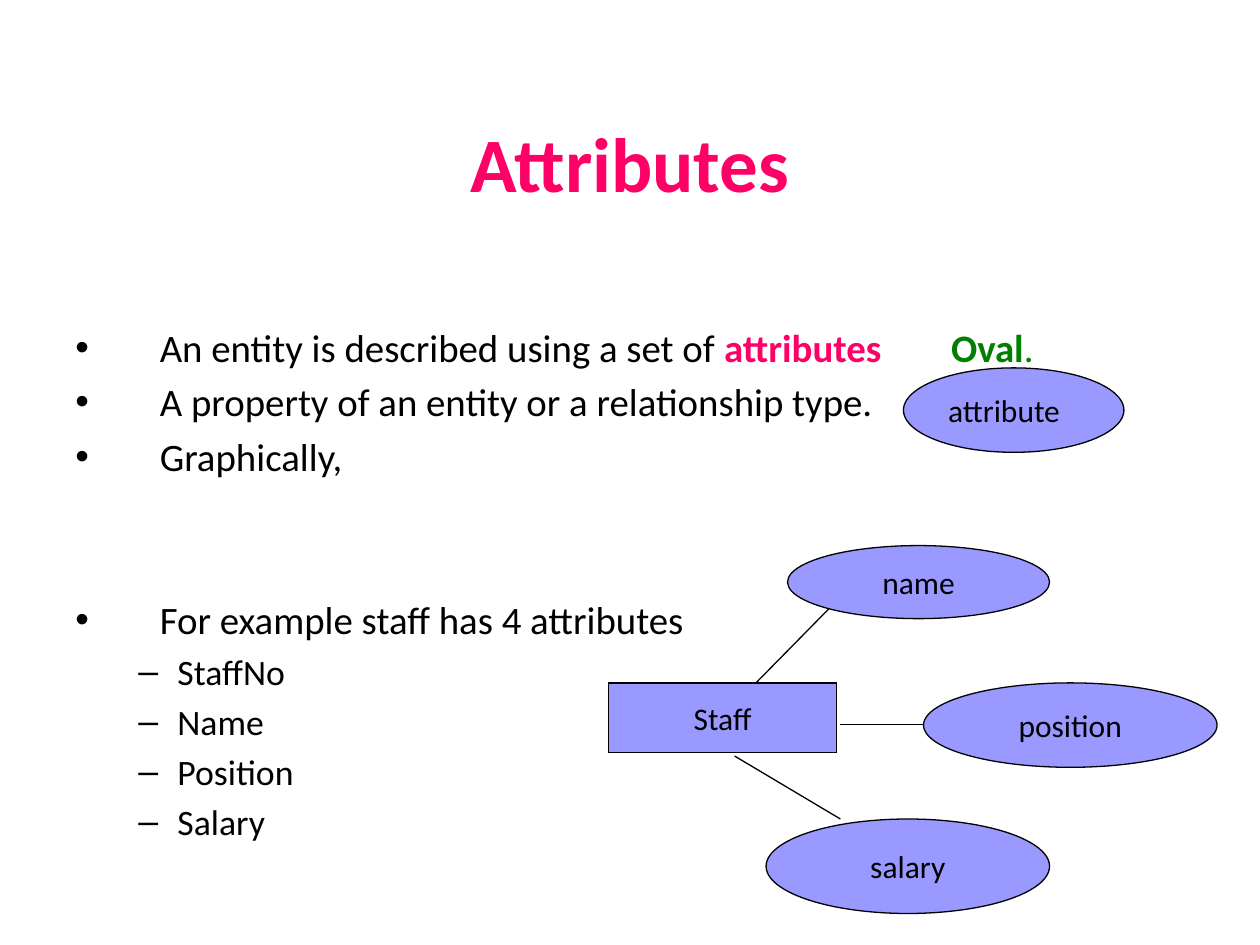
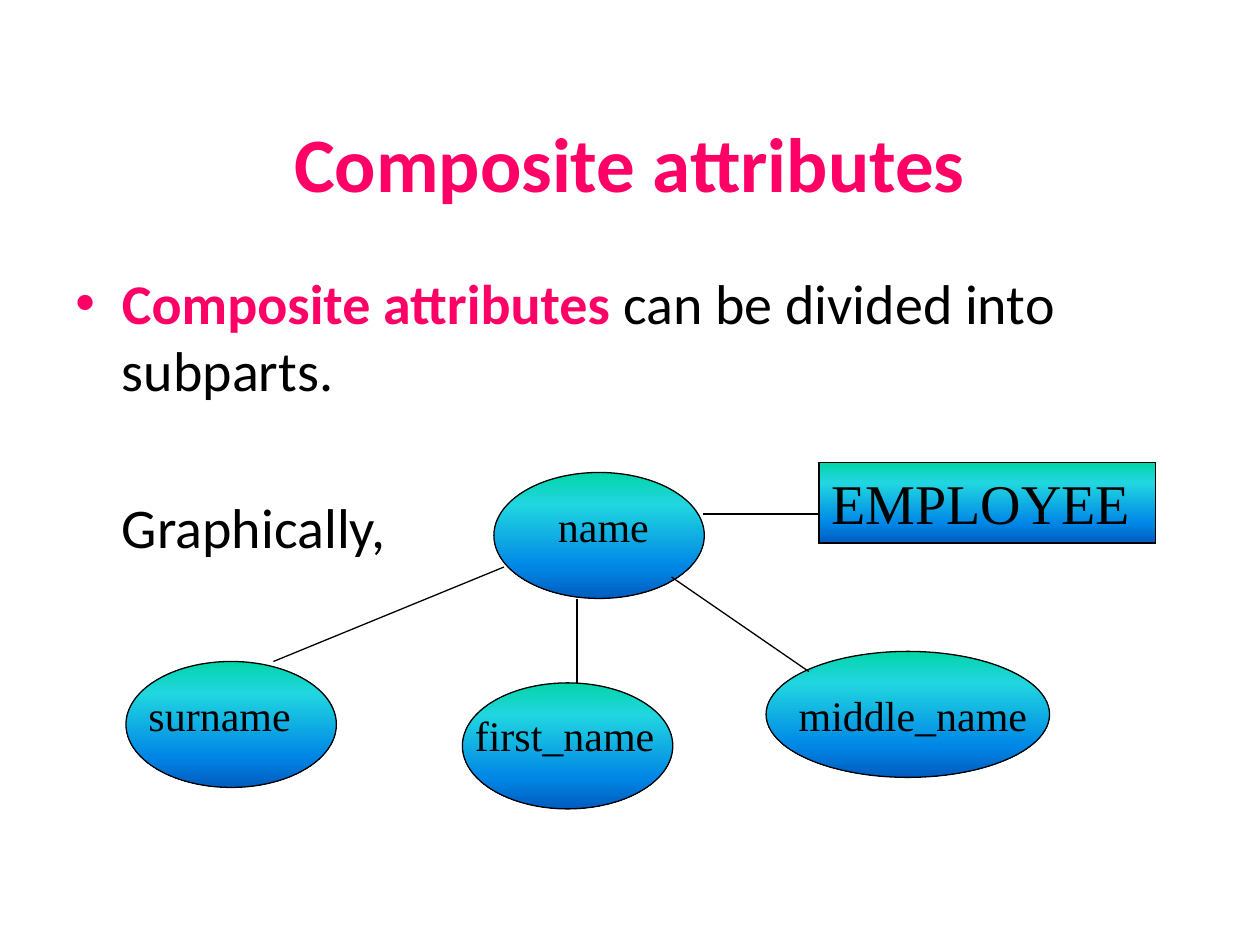
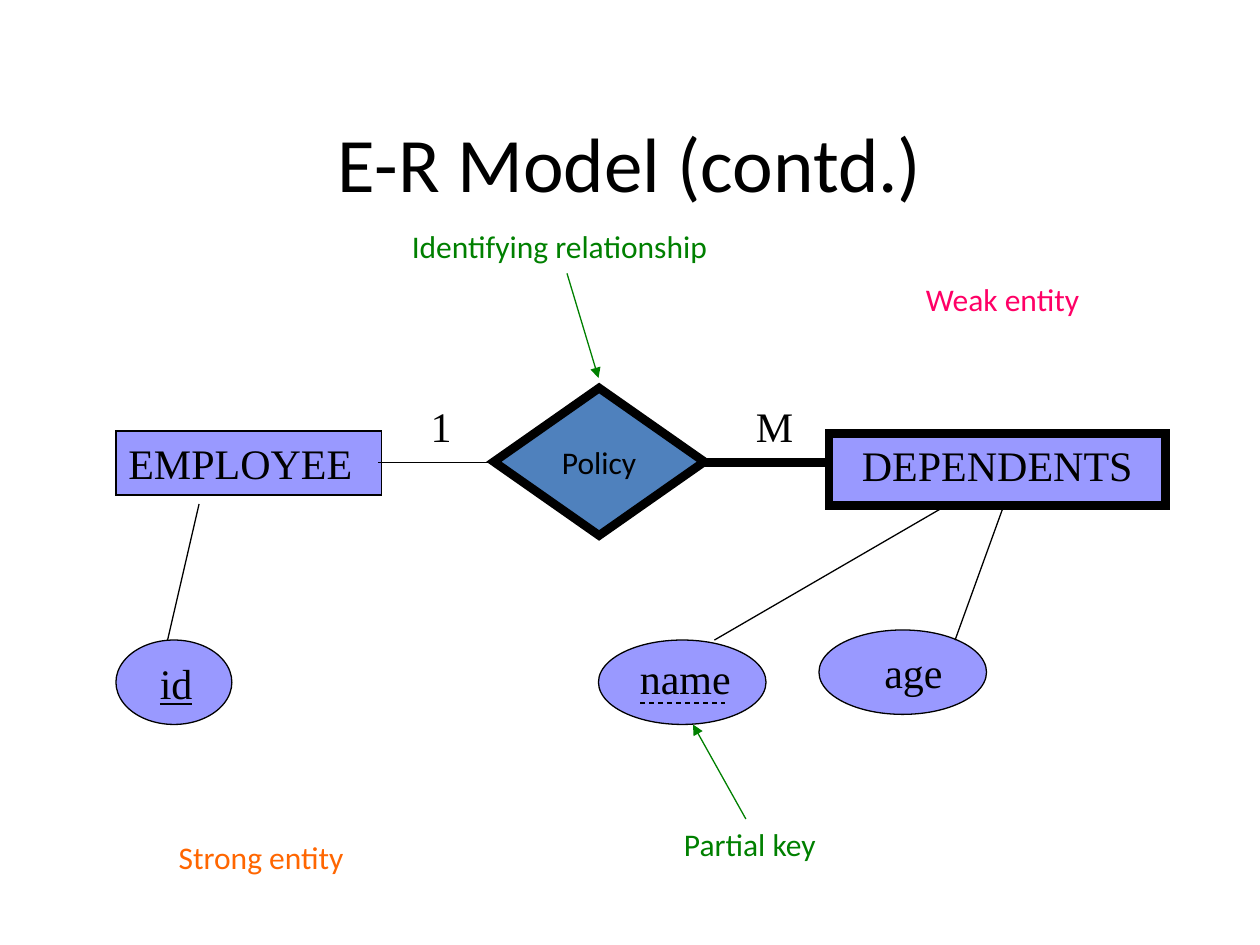
from dataclasses import dataclass
from typing import NamedTuple, Optional

from lxml import etree
from pptx import Presentation
from pptx.dml.color import RGBColor
from pptx.enum import dml, shapes, text
from pptx.oxml.ns import qn
from pptx.util import Inches, Pt

# Shared colours and fonts
BLACK = RGBColor(0x00, 0x00, 0x00)
PINK = RGBColor(0xFF, 0x00, 0x66)
GREEN = RGBColor(0x00, 0x80, 0x00)
ORANGE = RGBColor(0xFF, 0x66, 0x00)
LILAC = RGBColor(0x99, 0x99, 0xFF)
BLUE = RGBColor(0x4F, 0x81, 0xBD)
OCEAN = ((0, RGBColor(0x03, 0xD4, 0xA8)), (25, RGBColor(0x21, 0xD6, 0xE0)),
         (75, RGBColor(0x00, 0x87, 0xE6)), (100, RGBColor(0x00, 0x5C, 0xBF)))
SANS, SERIF = "Calibri", "Times New Roman"
THIN, THICK = 0.75, 5

OVAL = shapes.MSO_SHAPE.OVAL
RECT = shapes.MSO_SHAPE.RECTANGLE
DIAMOND = shapes.MSO_SHAPE.DIAMOND
LEFT, CENTER = text.PP_ALIGN.LEFT, text.PP_ALIGN.CENTER
TOP, MIDDLE = text.MSO_ANCHOR.TOP, text.MSO_ANCHOR.MIDDLE


class Run(NamedTuple):
    text: str
    size: float
    color: RGBColor = BLACK
    font: str = SANS
    bold: bool = False
    underline: bool = False


class Para(NamedTuple):
    runs: list[Run]
    bullet: str = ""
    left: float = 0
    hang: float = 0
    before: float = 0
    tab: Optional[float] = None


def add_run(p, run: Run) -> None:
    r = p.add_run()
    r.text = run.text
    f = r.font
    f.name, f.size, f.bold = run.font, Pt(run.size), run.bold
    f.underline = run.underline
    f.color.rgb = run.color


def add_text_box(s, x: float, y: float, w: float, h: float):
    return s.shapes.add_textbox(Inches(x), Inches(y), Inches(w), Inches(h))


def add_title(s, title: str, color: RGBColor = PINK, bold: bool = True) -> None:
    tf = add_text_box(s, 0.5, 0.66, 9, 1.25).text_frame
    tf.word_wrap, tf.vertical_anchor = True, MIDDLE
    p = tf.paragraphs[0]
    p.alignment = CENTER
    add_run(p, Run(title, 44, color, bold=bold))


def add_body(s, paras: list[Para], inset: float = 0.05) -> None:
    tf = add_text_box(s, 0.5, 2.08, 9, 4.62).text_frame
    tf.word_wrap, tf.margin_top = True, Inches(inset)
    for i, para in enumerate(paras):
        p = tf.add_paragraph() if i else tf.paragraphs[0]
        p_pr = p._p.get_or_add_pPr()
        p_pr.set("marL", str(Inches(para.left)))
        p_pr.set("indent", str(-Inches(para.hang)))
        p.space_before = Pt(para.before)
        if para.bullet:
            etree.SubElement(p_pr, qn("a:buFont")).set("typeface", "Arial")
            etree.SubElement(p_pr, qn("a:buChar")).set("char", para.bullet)
        if para.tab:
            tabs = etree.SubElement(p_pr, qn("a:tabLst"))
            etree.SubElement(tabs, qn("a:tab"), pos=str(Inches(para.tab)), algn="l")
        for run in para.runs:
            add_run(p, run)


def fill_gradient(sp, stops) -> None:
    sp.fill.gradient()
    sp.fill.gradient_angle = 270
    gs_list = sp._element.spPr.find(qn("a:gradFill")).find(qn("a:gsLst"))
    for gs in list(gs_list):
        gs_list.remove(gs)
    for percent, color in stops:
        gs = etree.SubElement(gs_list, qn("a:gs"), pos=str(percent * 1000))
        etree.SubElement(gs, qn("a:srgbClr"), val=str(color))


@dataclass
class Node:
    """An entity, attribute or relationship symbol."""
    kind: shapes.MSO_SHAPE
    x: float
    y: float
    w: float
    h: float
    run: Optional[Run] = None
    fill: object = LILAC
    line: float = THIN
    align: text.PP_ALIGN = CENTER
    anchor: text.MSO_ANCHOR = MIDDLE
    wrap: bool = False

    def draw(self, s) -> None:
        sp = s.shapes.add_shape(self.kind, Inches(self.x), Inches(self.y),
                                Inches(self.w), Inches(self.h))
        sp.shadow.inherit = False
        if isinstance(self.fill, RGBColor):
            sp.fill.solid()
            sp.fill.fore_color.rgb = self.fill
        else:
            fill_gradient(sp, self.fill)
        sp.line.color.rgb, sp.line.width = BLACK, Pt(self.line)
        etree.SubElement(sp.line._get_or_add_ln(), qn("a:miter"), lim="800000")
        if self.run:
            tf = sp.text_frame
            tf.word_wrap, tf.vertical_anchor = self.wrap, self.anchor
            tf.paragraphs[0].alignment = self.align
            add_run(tf.paragraphs[0], self.run)


@dataclass
class Label:
    """Free text beside or over a symbol."""
    x: float
    y: float
    w: float
    h: float
    run: Run

    def draw(self, s) -> None:
        tf = add_text_box(s, self.x, self.y, self.w, self.h).text_frame
        tf.word_wrap = False
        tf.auto_size = text.MSO_AUTO_SIZE.SHAPE_TO_FIT_TEXT
        add_run(tf.paragraphs[0], self.run)


@dataclass
class Link:
    """A straight line, optionally dashed or with an arrowhead."""
    x1: float
    y1: float
    x2: float
    y2: float
    color: RGBColor = BLACK
    width: float = THIN
    dashed: bool = False
    arrow: bool = False

    def draw(self, s) -> None:
        c = s.shapes.add_connector(shapes.MSO_CONNECTOR.STRAIGHT, Inches(self.x1),
                                   Inches(self.y1), Inches(self.x2), Inches(self.y2))
        c.line.color.rgb, c.line.width = self.color, Pt(self.width)
        if self.dashed:
            c.line.dash_style = dml.MSO_LINE.DASH
        if self.arrow:
            etree.SubElement(c.line._get_or_add_ln(), qn("a:tailEnd"), type="triangle")
        etree.SubElement(c._element.spPr, qn("a:effectLst"))


def serif(words: str, size: float = 24, underline: bool = False) -> Run:
    return Run(words, size, font=SERIF, underline=underline)


def draw_all(s, items: list) -> None:
    for item in items:
        item.draw(s)


def attributes_slide(s) -> None:
    add_title(s, "Attributes")
    size = 22.2

    def point(*runs: Run, before: float = 4.4, tab: Optional[float] = None) -> Para:
        return Para(list(runs), "•", 0.67, 0.67, before, tab)

    add_body(s, [
        point(Run("An entity is described using a set of ", size),
              Run("attributes\t", size, PINK, bold=True),
              Run("Oval", size, GREEN, bold=True), Run(".", size, GREEN),
              before=0, tab=6.95),
        point(Run("A property of an entity or a relationship type.", size)),
        point(Run("Graphically,", size)),
        point(Run("For example staff has 4 attributes", size), before=66.7),
        *[Para([Run(name, 20.4)], "–", 0.81, 0.31, 4.1)
          for name in ("StaffNo", "Name", "Position", "Salary")],
    ], inset=0.49)
    draw_all(s, [
        Node(OVAL, 7.17, 2.92, 1.75, 0.67, Run("attribute", 18), align=LEFT),
        Node(RECT, 4.83, 5.42, 1.81, 0.55, Run("Staff", 18)),
        Node(OVAL, 6.25, 4.33, 2.08, 0.58, Run("name", 18)),
        Link(6.58, 4.83, 6, 5.42),
        Node(OVAL, 7.33, 5.42, 2.33, 0.67, Run("position", 18)),
        Link(6.67, 5.75, 7.33, 5.75),
        Node(OVAL, 6.08, 6.5, 2.25, 0.75, Run("salary", 18)),
        Link(5.83, 6, 6.67, 6.5),
    ])


def composite_slide(s) -> None:
    add_title(s, "Composite attributes")
    add_body(s, [
        Para([Run("Composite attributes", 32, PINK, bold=True),
              Run(" can be divided into subparts.", 32)], "•", 0.37, 0.37),
        Para([Run("Graphically,", 32)], left=0.37, before=51.2),
    ])
    draw_all(s, [
        Node(OVAL, 1, 5.25, 1.67, 1, fill=OCEAN),
        Label(1.08, 5.42, 1.35, 0.5, serif("surname")),
        Link(2.17, 5.25, 4, 4.5),
        Node(OVAL, 3.67, 5.42, 1.67, 1, fill=OCEAN),
        Label(3.67, 5.58, 1.65, 0.5, serif("first_name")),
        Node(OVAL, 6.08, 5.17, 2.25, 1, fill=OCEAN),
        Label(6.24, 5.42, 2.04, 0.5, serif("middle_name")),
        Node(OVAL, 3.92, 3.75, 1.67, 1, fill=OCEAN),
        Label(4.33, 3.92, 0.94, 0.5, serif("name")),
        Link(4.58, 5.42, 4.58, 4.75),
        Link(6.42, 5.33, 5.33, 4.58),
        Node(RECT, 6.5, 3.67, 2.67, 0.64, serif("EMPLOYEE", 32), OCEAN,
             align=LEFT, anchor=TOP, wrap=True),
        Link(5.58, 4.08, 6.5, 4.08),
    ])


def er_model_slide(s) -> None:
    add_title(s, "E-R Model (contd.)", BLACK, bold=False)
    draw_all(s, [
        # Strong entity and its key
        Node(RECT, 0.92, 3.42, 2.11, 0.51, serif("EMPLOYEE"),
             align=LEFT, anchor=TOP, wrap=True),
        Node(OVAL, 0.92, 5.08, 0.92, 0.67),
        Label(1.17, 5.17, 0.46, 0.5, serif("id", underline=True)),
        Link(1.33, 5.08, 1.58, 4),
        # Attributes of the weak entity
        Node(OVAL, 4.75, 5.08, 1.33, 0.67),
        Label(4.98, 5.13, 0.92, 0.5, serif("name")),
        Link(5.08, 5.58, 5.75, 5.58, dashed=True),
        Node(OVAL, 6.5, 5, 1.33, 0.67),
        Label(6.92, 5.08, 0.66, 0.5, serif("age")),
        Link(5.67, 5.08, 7.67, 3.92),
        Link(7.58, 5.08, 8, 3.92),
        # Identifying relationship
        Link(3, 3.67, 4.25, 3.67),
        Link(5.5, 3.67, 6.58, 3.67, width=THICK),
        Label(3.32, 3.13, 0.37, 0.5, serif("1")),
        Label(5.9, 3.13, 0.5, 0.5, serif("M")),
        Node(DIAMOND, 3.92, 3.08, 1.67, 1.17, Run("Policy", 18), BLUE, THICK),
        Node(RECT, 6.58, 3.44, 2.67, 0.57, serif("DEPENDENTS"), line=THICK,
             anchor=TOP, wrap=True),
        # Annotations
        Label(1.32, 6.6, 1.91, 0.43, Run("Strong entity", 18, ORANGE)),
        Label(3.17, 1.75, 3.25, 0.43, Run("Identifying relationship", 18, GREEN)),
        Label(7.25, 2.17, 1.74, 0.43, Run("Weak entity", 18, PINK)),
        Label(5.33, 6.5, 1.59, 0.43, Run("Partial key", 18, GREEN)),
        Link(5.92, 6.5, 5.5, 5.75, GREEN, arrow=True),
        Link(4.5, 2.17, 4.75, 3, GREEN, arrow=True),
    ])


def main() -> None:
    prs = Presentation()
    prs.slide_width, prs.slide_height = Inches(10), Inches(7.5)
    for build in (attributes_slide, composite_slide, er_model_slide):
        build(prs.slides.add_slide(prs.slide_layouts[6]))
    prs.save("out.pptx")


if __name__ == "__main__":
    main()
